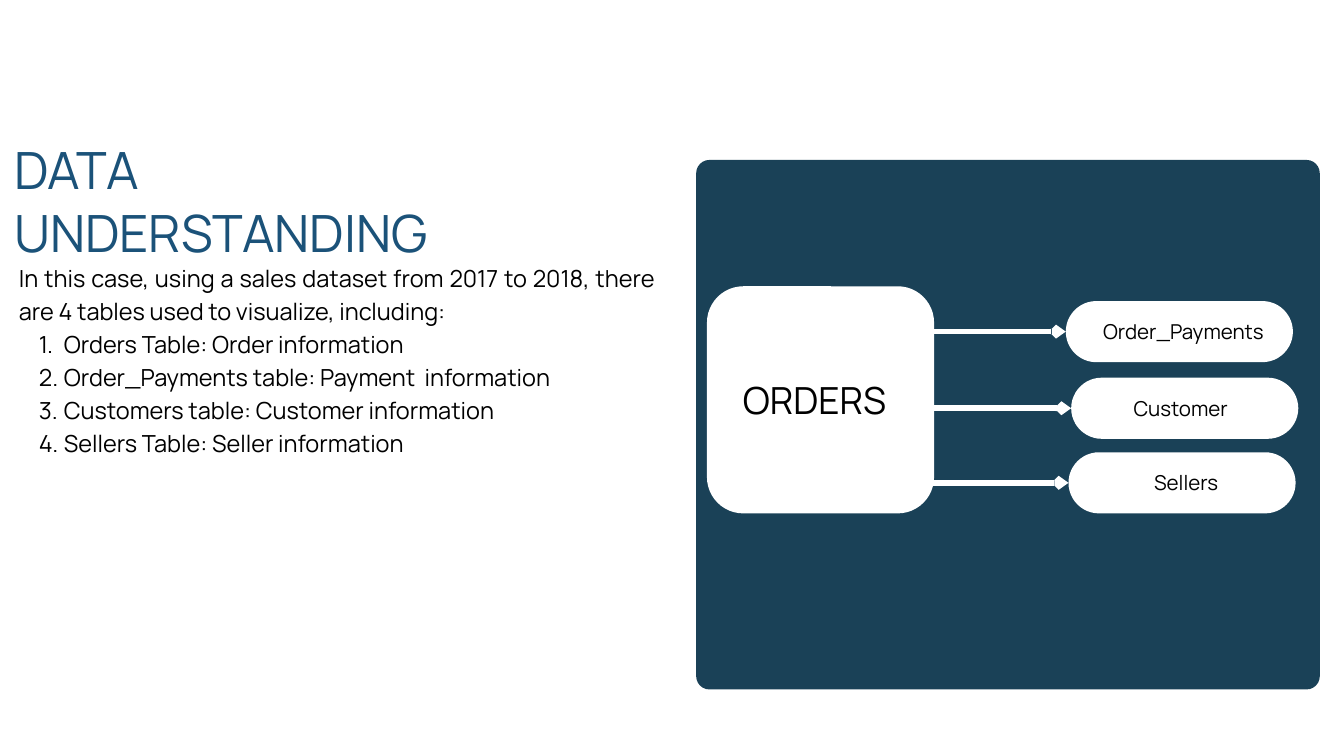
from lxml import etree
from pptx import Presentation
from pptx.dml.color import RGBColor
from pptx.enum.shapes import MSO_CONNECTOR, MSO_SHAPE
from pptx.enum.text import MSO_ANCHOR, MSO_AUTO_SIZE, PP_ALIGN
from pptx.oxml.ns import qn
from pptx.util import Inches, Pt

ROUND = MSO_SHAPE.ROUNDED_RECTANGLE
LINE = MSO_CONNECTOR.STRAIGHT
TOP, MIDDLE = MSO_ANCHOR.TOP, MSO_ANCHOR.MIDDLE
LEFT, CENTER, JUSTIFY = PP_ALIGN.LEFT, PP_ALIGN.CENTER, PP_ALIGN.JUSTIFY
FIXED = MSO_AUTO_SIZE.NONE
COLORS = {"panel": "1A4157", "white": "FFFFFF", "title": "1B5279", "text": "000000"}


def style(shape, size, color, align, space, anchor):
    frame = shape.text_frame
    frame.word_wrap = True
    frame.auto_size = FIXED
    frame.vertical_anchor = anchor
    frame.margin_left = frame.margin_right = 0
    frame.margin_top = frame.margin_bottom = 0
    for para in frame.paragraphs:
        para.alignment = align
        para.line_spacing = Pt(space)
        para.space_before = Pt(0)
        for run in para.runs:
            run.font.name = "Manrope"
            run.font.size = Pt(size)
            run.font.color.rgb = RGBColor.from_string(COLORS[color])


def add_box(x, y, w, h, radius, color):
    box = slide.shapes.add_shape(ROUND, Inches(x), Inches(y), Inches(w), Inches(h))
    box.adjustments[0] = radius
    box.fill.solid()
    box.fill.fore_color.rgb = RGBColor.from_string(COLORS[color])
    box.line.fill.background()
    box.shadow.inherit = False
    return box


prs = Presentation()
prs.slide_width, prs.slide_height = Inches(20), Inches(11.25)
slide = prs.slides.add_slide(prs.slide_layouts[1])

title = slide.shapes.title
title.left, title.top = Inches(0.21), Inches(2.04)
title.width, title.height = Inches(7.18), Inches(1.91)
title.text_frame.text = "DATA UNDERSTANDING"
style(title, 55, "title", LEFT, 67.1, TOP)

body = slide.placeholders[1]
body.left, body.top = Inches(0.28), Inches(3.86)
body.width, body.height = Inches(9.47), Inches(3.45)
items = [
    "In this case, using a sales dataset from 2017 to 2018, there are 4 tables used to visualize, including:",
    "Orders Table: Order information",
    "Order_Payments table: Payment  information",
    "Customers table: Customer information",
    "Sellers Table: Seller information",
]
for i, item in enumerate(items):
    para = body.text_frame.paragraphs[0] if i == 0 else body.text_frame.add_paragraph()
    para.text = item
    props = para._p.get_or_add_pPr()
    if i == 0:
        props.set("marL", "0")
        props.set("indent", "0")
        etree.SubElement(props, qn("a:buNone"))
    else:
        para.level = 1
        props.set("marL", str(Inches(0.67)))
        props.set("indent", str(Inches(-0.37)))
        etree.SubElement(props, qn("a:buFont"), typeface="+mj-lt")
        etree.SubElement(props, qn("a:buAutoNum"), type="arabicPeriod")
style(body, 25.2, "text", JUSTIFY, 35.4, TOP)

add_box(10.36, 2.38, 9.28, 7.88, 0.025, "panel")
orders = add_box(10.52, 4.26, 3.38, 3.38, 0.16, "white")
orders.text_frame.text = "ORDERS"
style(orders, 40, "text", CENTER, 56, MIDDLE)
orders.text_frame.margin_right = Inches(0.18)
orders.text_frame.margin_bottom = Inches(0.12)

pills = [
    ("Order_Payments", 15.86, 4.48, 0.12, 0),
    ("Customer", 15.94, 5.62, 0, 0.12),
    ("Sellers", 15.9, 6.73, 0.12, 0),
]
for name, x, y, left, right in pills:
    pill = add_box(x, y, 3.38, 0.91, 0.5, "white")
    pill.text_frame.text = name
    style(pill, 22, "text", CENTER, 30.8, MIDDLE)
    pill.text_frame.margin_left = Inches(left)
    pill.text_frame.margin_right = Inches(right)
    pill.text_frame.margin_bottom = Inches(0.07)

    mid = pill.top + pill.height // 2
    link = slide.shapes.add_connector(LINE, Inches(x - 2.61), mid, Inches(x), mid)
    link.end_connect(pill, 1)
    link.line.color.rgb = RGBColor.from_string(COLORS["white"])
    link.line.width = Pt(6)
    etree.SubElement(link.line._get_or_add_ln(), qn("a:tailEnd"), type="arrow", w="sm", len="sm")
    etree.SubElement(link._element.spPr, qn("a:effectLst"))

prs.save("out.pptx")
